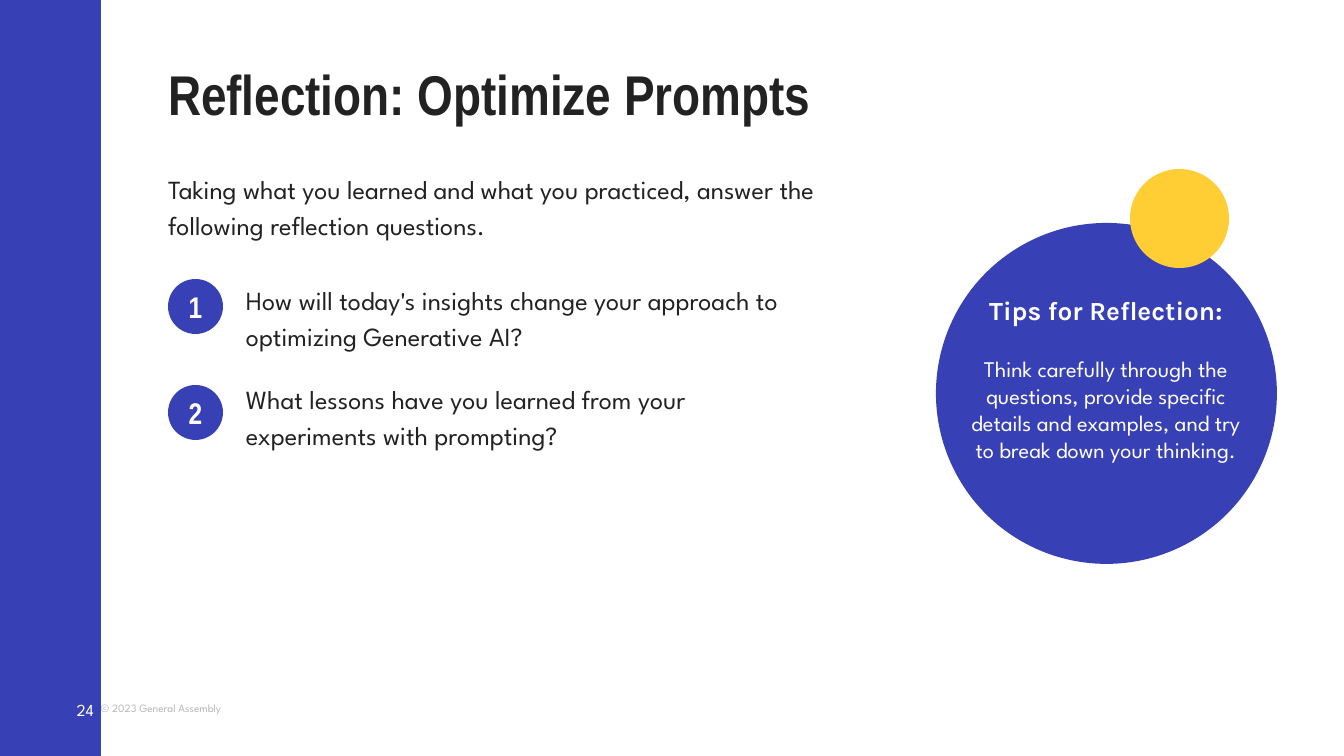
from pptx import Presentation
from pptx import util as u
from pptx.dml.color import RGBColor
from pptx.enum import shapes, text

PX = 914400 / 134.4  # EMU per pixel
BLUE, YELLOW, WHITE = "3740B5", "FFCD34", "FFFFFF"
INK, GREY = "222222", "B7B7B7"
BODY, HEAD, TIP = "League Spartan", "Arial Narrow", "Karla"
LEFT, CENTER, RIGHT = text.PP_ALIGN.LEFT, text.PP_ALIGN.CENTER, text.PP_ALIGN.RIGHT
TOP, MIDDLE = text.MSO_ANCHOR.TOP, text.MSO_ANCHOR.MIDDLE


def px(n):
    return u.Emu(round(n * PX))


def rgb(color):
    return RGBColor.from_string(color)


def add_shape(s, kind, x, y, w, h, color):
    sp = s.shapes.add_shape(kind, px(x), px(y), px(w), px(h))
    sp.shadow.inherit = False
    sp.fill.solid()
    sp.fill.fore_color.rgb = rgb(color)
    sp.line.fill.background()
    return sp


def add_circle(s, x, y, size, color):
    return add_shape(s, shapes.MSO_SHAPE.OVAL, x, y, size, size, color)


def set_frame(tf, anchor=TOP, inset=0):
    tf.word_wrap = True
    tf.vertical_anchor = anchor
    tf.margin_left = tf.margin_right = px(inset)
    tf.margin_top = tf.margin_bottom = px(inset)


def write(p, words, size, font, color, bold=False, align=LEFT, spacing=None, after=0):
    p.text = words
    p.alignment = align
    p.space_after = u.Pt(after)
    if spacing:
        p.line_spacing = spacing
    r = p.runs[0]
    r.font.size, r.font.name, r.font.bold = u.Pt(size), font, bold
    r.font.color.rgb = rgb(color)


def add_text(s, x, y, w, h, words, size, font, color, anchor=TOP, **style):
    tf = s.shapes.add_textbox(px(x), px(y), px(w), px(h)).text_frame
    set_frame(tf, anchor)
    write(tf.paragraphs[0], words, size, font, color, **style)


def add_body(s, x, y, w, h, words):
    add_text(s, x, y, w, h, words, 14, BODY, INK, spacing=1.15, after=10)


def add_question(s, number, badge_y, text_y, words):
    badge = add_circle(s, 168, badge_y, 55, BLUE)
    set_frame(badge.text_frame, MIDDLE)
    write(badge.text_frame.paragraphs[0], str(number), 16, HEAD, WHITE,
          bold=True, align=CENTER)
    add_body(s, 246, text_y, 562, 67, words)


def add_tips(s, heading, advice):
    add_circle(s, 936, 223, 341, BLUE)
    tf = s.shapes.add_textbox(px(949), px(281), px(314), px(226)).text_frame
    set_frame(tf, inset=13)
    write(tf.paragraphs[0], heading, 14, TIP, WHITE, bold=True, align=CENTER, after=16)
    write(tf.add_paragraph(), advice, 12, BODY, WHITE, align=CENTER)
    add_circle(s, 1130, 169, 99, YELLOW)


def main():
    prs = Presentation()
    prs.slide_width, prs.slide_height = px(1344), px(756)
    s = prs.slides.add_slide(prs.slide_layouts[6])

    # Side bar and footer
    add_text(s, 101, 695, 134, 27, "© 2023 General Assembly", 6, BODY, GREY, anchor=MIDDLE)
    add_shape(s, shapes.MSO_SHAPE.RECTANGLE, 0, 0, 101, 756, BLUE)
    add_text(s, 47, 686, 47, 47, "24", 9, BODY, WHITE, anchor=MIDDLE, align=RIGHT)

    # Title and introduction
    add_text(s, 168, 67, 706, 60, "Reflection: Optimize Prompts", 30, HEAD, INK,
             bold=True, spacing=0.9)
    add_body(s, 168, 169, 706, 82,
             "Taking what you learned and what you practiced, "
             "answer the following reflection questions.")

    # Numbered questions
    add_question(s, 1, 279, 280,
                 "How will today's insights change your approach to optimizing Generative AI?")
    add_question(s, 2, 385, 379,
                 "What lessons have you learned from your experiments with prompting?")

    # Tips circle
    add_tips(s, "Tips for Reflection:",
             "Think carefully through the questions, provide specific details "
             "and examples, and try to break down your thinking.")

    prs.save("out.pptx")


if __name__ == "__main__":
    main()
